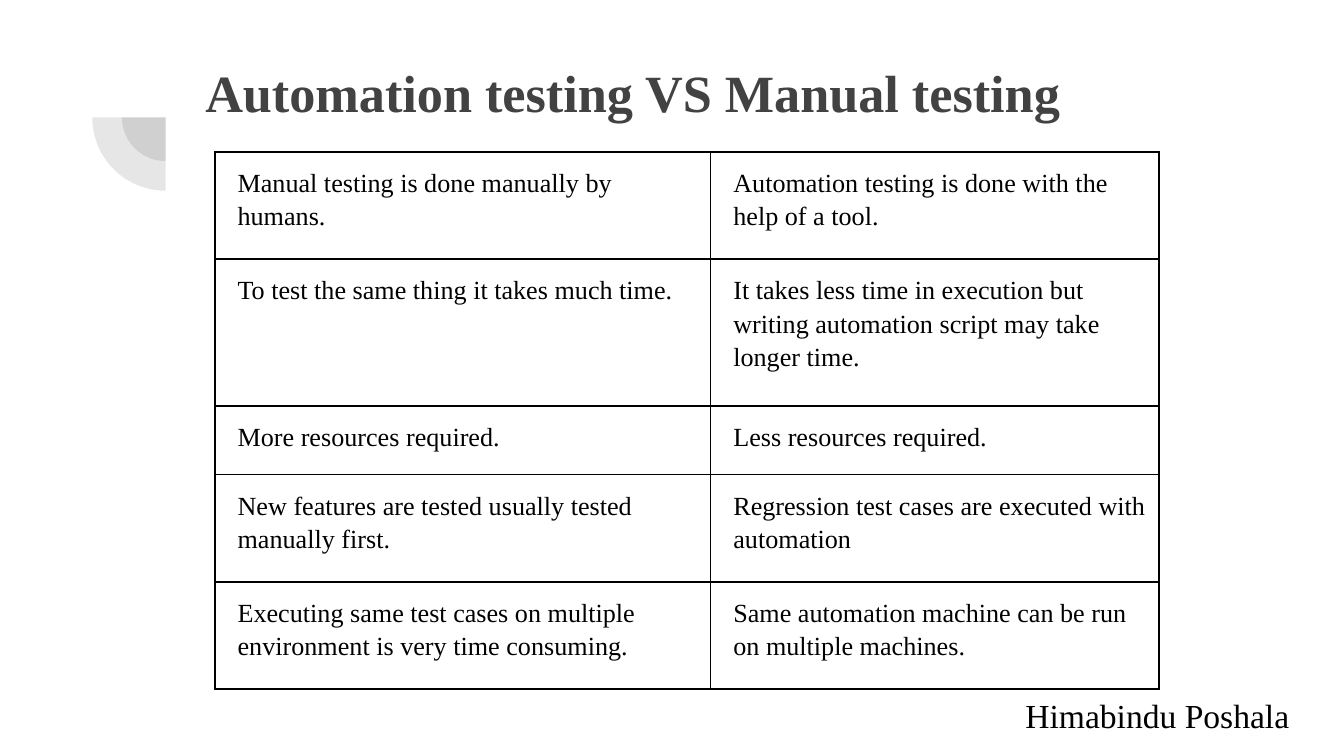
from lxml import etree
from pptx import Presentation
from pptx.dml.color import RGBColor
from pptx.enum.shapes import MSO_SHAPE
from pptx.enum.text import MSO_ANCHOR
from pptx.oxml import parse_xml
from pptx.oxml.ns import nsdecls, qn
from pptx.util import Cm, Pt

PIE = MSO_SHAPE.PIE
TOP, BOTTOM = MSO_ANCHOR.TOP, MSO_ANCHOR.BOTTOM
FONT = "Times New Roman"
GREY, BLACK = "424242", "000000"
INSET = Cm(0.25)

COLUMN_WIDTHS = [9.37, 8.48]
ROW_HEIGHTS = [2.03, 2.77, 1.3, 2.03, 2.03]
COMPARISON = [
    ("Manual testing is done manually by humans.",
     "Automation testing is done with the help of a tool."),
    ("To test the same thing it takes much time.",
     "It takes less time in execution but writing automation script may take longer time."),
    ("More resources required.",
     "Less resources required."),
    ("New features are tested usually tested manually first.",
     "Regression test cases are executed with automation"),
    ("Executing same test cases on multiple environment is very time consuming.",
     "Same automation machine can be run on multiple machines."),
]


def color(value):
    return RGBColor.from_string(value)


def write(tf, text, size, hex_color, bold=False):
    tf.text = text
    p = tf.paragraphs[0]
    font = p.runs[0].font
    font.name, font.size, font.bold = FONT, Pt(size), bold
    font.color.rgb = color(hex_color)
    return p


def add_text(slide, box, text, size, hex_color, bold=False, anchor=TOP):
    tf = slide.shapes.add_textbox(*map(Cm, box)).text_frame
    tf.word_wrap = True
    tf.vertical_anchor = anchor
    tf.margin_left = tf.margin_right = tf.margin_top = tf.margin_bottom = INSET
    write(tf, text, size, hex_color, bold)


def add_quarter(group, cx, cy, diameter):
    """Add a translucent lower-left quarter disc around the given centre."""
    sp = group.shapes.add_shape(PIE, Cm(cx - diameter / 2), Cm(cy - diameter / 2),
                                Cm(diameter), Cm(diameter))
    sp.adjustments[0], sp.adjustments[1] = 108, 162
    sp.rotation = 270
    sp.shadow.inherit = False
    sp.line.fill.background()
    sp.fill.solid()
    sp.fill.fore_color.rgb = color(GREY)
    clr = sp.fill._xPr.find(".//" + qn("a:srgbClr"))
    etree.SubElement(clr, qn("a:alpha"), val="13000")


def add_borders(cell, hex_color, width):
    tcPr = cell._tc.get_or_add_tcPr()
    for i, side in enumerate("LRTB"):
        tcPr.insert(i, parse_xml(
            f'<a:ln{side} {nsdecls("a")} w="{Pt(width)}"><a:solidFill>'
            f'<a:srgbClr val="{hex_color}"/></a:solidFill></a:ln{side}>'))


def fill_cell(cell, text):
    cell.fill.background()
    add_borders(cell, BLACK, 1)
    cell.vertical_anchor = TOP
    cell.margin_left = cell.margin_right = Cm(0.18)
    cell.margin_top = cell.margin_bottom = INSET
    p = write(cell.text_frame, text, 14, BLACK)
    p.line_spacing = 1.15
    p._p.get_or_add_pPr().set("marL", str(INSET))


def add_comparison(slide, left, top):
    table = slide.shapes.add_table(
        len(ROW_HEIGHTS), len(COLUMN_WIDTHS), Cm(left), Cm(top),
        Cm(sum(COLUMN_WIDTHS)), Cm(sum(ROW_HEIGHTS))).table
    table.first_row = table.horz_banding = False
    for column, width in zip(table.columns, COLUMN_WIDTHS):
        column.width = Cm(width)
    for row, height, texts in zip(table.rows, ROW_HEIGHTS, COMPARISON):
        row.height = Cm(height)
        for cell, text in zip(row.cells, texts):
            fill_cell(cell, text)


def main():
    prs = Presentation()
    prs.slide_width, prs.slide_height = Cm(25.4), Cm(14.29)
    slide = prs.slides.add_slide(prs.slide_layouts[6])
    group = slide.shapes.add_group_shape()
    for diameter in (1.65, 2.77):
        add_quarter(group, 3.13, 2.22, diameter)
    add_text(slide, (3.63, 0.89, 19.53, 1.68), "Automation testing VS Manual testing",
             28, GREY, bold=True, anchor=BOTTOM)
    add_text(slide, (19.13, 12.88, 5.89, 0.99), "Himabindu Poshala", 18, BLACK)
    add_comparison(slide, 4.06, 2.87)
    prs.save("out.pptx")


if __name__ == "__main__":
    main()
